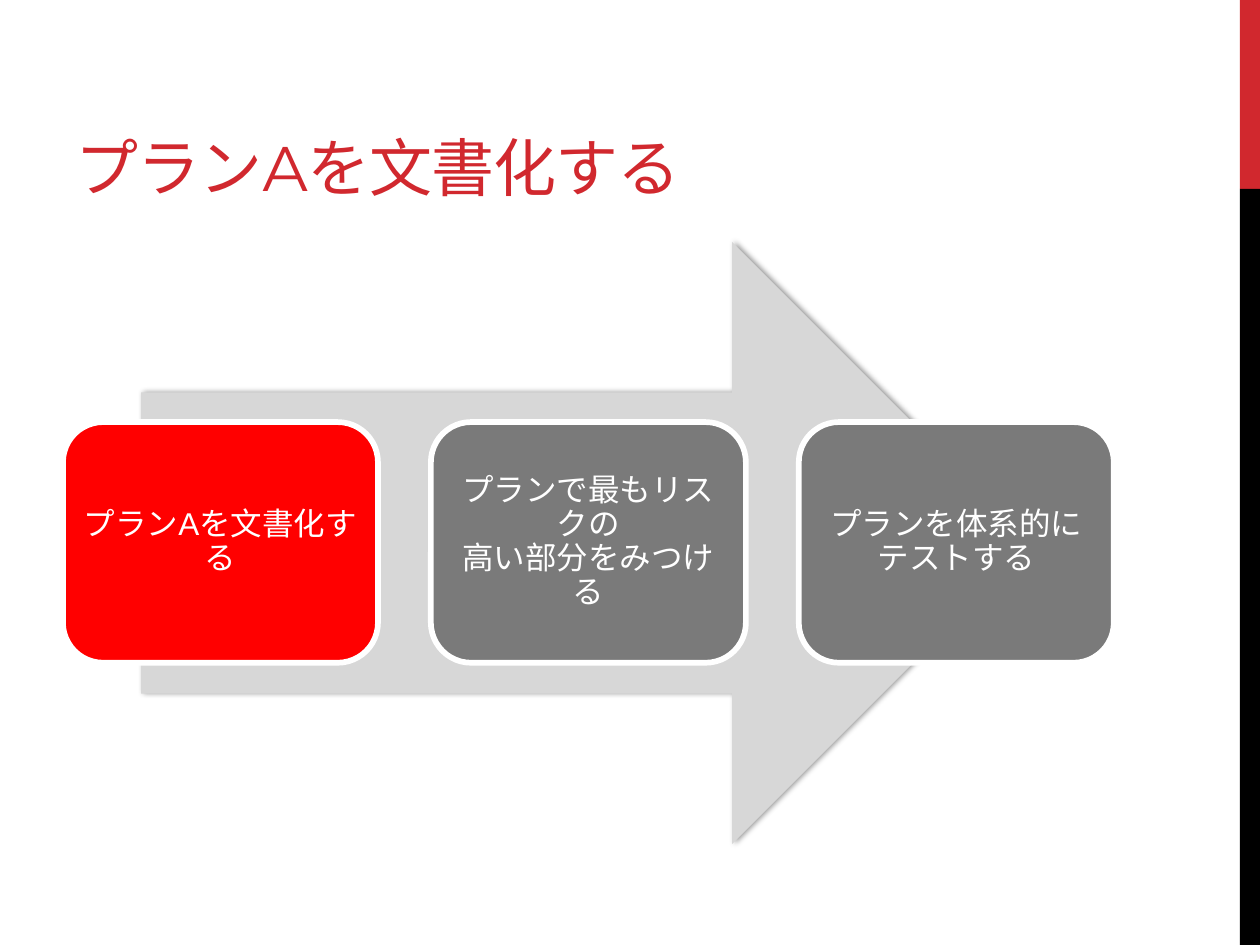
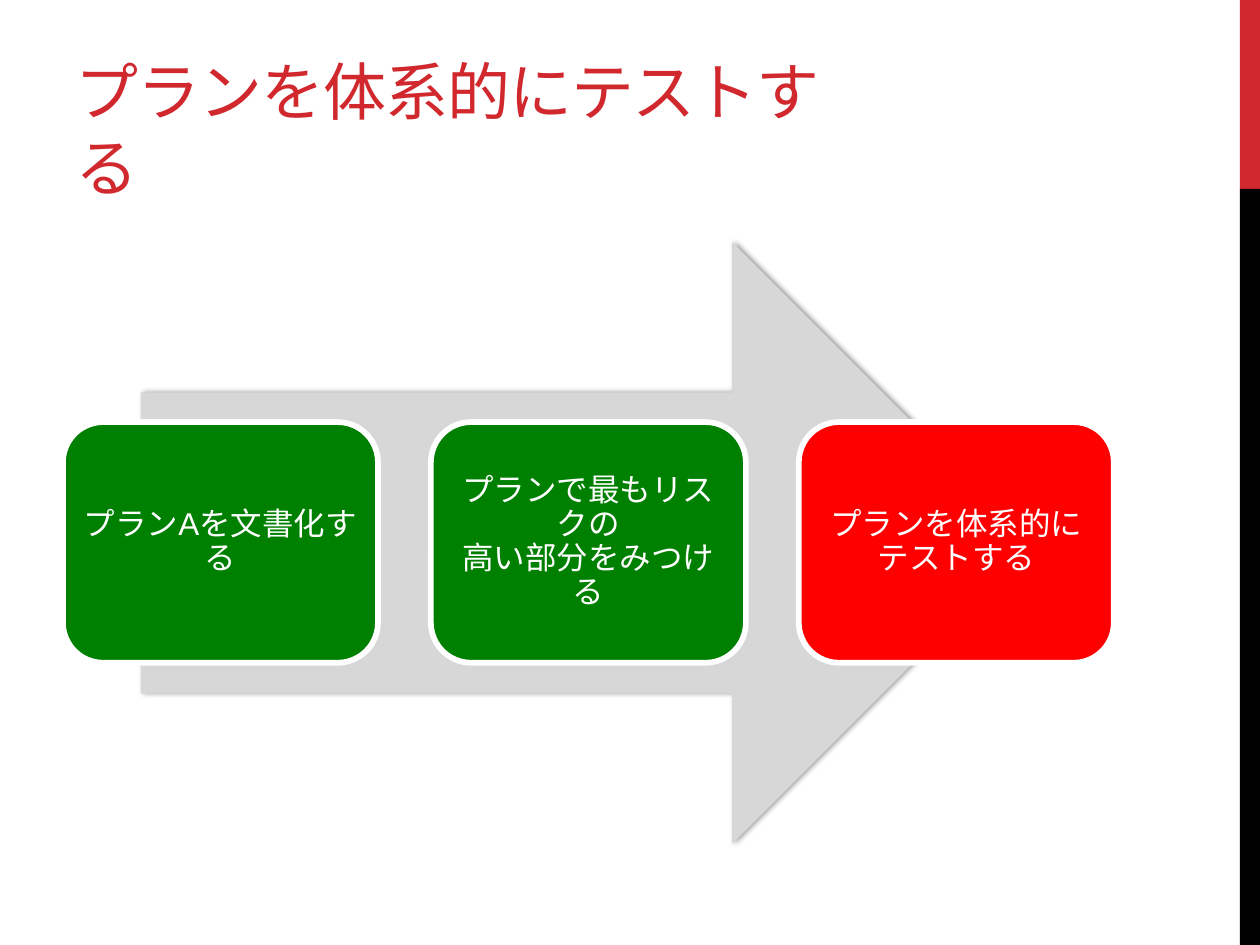
import pptx
import pptx.util
import pptx.dml.color
import pptx.enum.shapes
import pptx.enum.text
import pptx.oxml
import pptx.oxml.ns

Inches, Pt = pptx.util.Inches, pptx.util.Pt
SHAPE = pptx.enum.shapes.MSO_SHAPE
ALIGN = pptx.enum.text.PP_ALIGN
ANCHOR = pptx.enum.text.MSO_ANCHOR

COLORS = {
    "accent": "D1282E",
    "black": "000000",
    "white": "FFFFFF",
    "arrow": "D7D7D7",
    "current": "FF0000",
    "done": "008000",
    "pending": "7A7A7A",
}
STEPS = ["プランAを文書化する", "プランで最もリスクの\n高い部分をみつける", "プランを体系的に\nテストする"]
SLIDES = [
    ("プランAを文書化する", ["current", "pending", "pending"]),
    ("プランを体系的にテストする", ["done", "done", "current"]),
]
BOX_W, BOX_H, BOX_GAP = 2.5, 1.91, 0.42
SHADOW = (
    f'<a:effectLst {pptx.oxml.ns.nsdecls("a")}>'
    f'<a:outerShdw blurRad="{Pt(3.1)}" dist="{Pt(1.8)}" dir="0" rotWithShape="0">'
    '<a:srgbClr val="000000"><a:alpha val="40000"/></a:srgbClr>'
    "</a:outerShdw></a:effectLst>"
)


def rgb(name):
    return pptx.dml.color.RGBColor.from_string(COLORS[name])


def add_filled(slide, kind, left, top, width, height, color):
    sp = slide.shapes.add_shape(kind, Inches(left), Inches(top), Inches(width), Inches(height))
    sp.shadow.inherit = False
    sp.fill.solid()
    sp.fill.fore_color.rgb = rgb(color)
    sp.line.fill.background()
    return sp


prs = pptx.Presentation()
prs.slide_width, prs.slide_height = Inches(10), Inches(7.5)
layout = prs.slide_layouts.get_by_name("Title Only")

for number, (title, states) in enumerate(SLIDES):
    s = prs.slides.add_slide(layout)

    # The side bands are drawn once and moved to the slide master
    if number == 0:
        for top, height, color in [(0, 1.5, "accent"), (1.5, 6, "black")]:
            band = add_filled(s, SHAPE.RECTANGLE, 9.84, top, 0.16, height, color)
            prs.slide_master.shapes.element.append(band.element)

    sp = s.shapes.title
    sp.left, sp.top, sp.width, sp.height = Inches(0.5), Inches(0.17), Inches(6.33), Inches(1.5)
    tf = sp.text_frame
    tf.auto_size = pptx.enum.text.MSO_AUTO_SIZE.NONE
    tf.word_wrap = True
    tf.vertical_anchor = ANCHOR.BOTTOM
    p = tf.paragraphs[0]
    p.text = title
    p.alignment = ALIGN.LEFT
    p.font.name, p.font.size = "Montserrat", Pt(36)
    p.font.color.rgb = rgb("accent")
    p._p.pPr.find(pptx.oxml.ns.qn("a:defRPr")).set("spc", "-60")

    arrow = add_filled(s, SHAPE.RIGHT_ARROW, 1.12, 1.92, 7.08, 4.78, "arrow")
    props = arrow.element.spPr
    props.replace(props.find(pptx.oxml.ns.qn("a:effectLst")), pptx.oxml.parse_xml(SHADOW))

    for i, (step, state) in enumerate(zip(STEPS, states)):
        left = 0.5 + i * (BOX_W + BOX_GAP)
        box = add_filled(s, SHAPE.ROUNDED_RECTANGLE, left, 3.35, BOX_W, BOX_H, state)
        box.line.color.rgb = rgb("white")
        box.line.width = Pt(3.25)
        tf = box.text_frame
        tf.word_wrap = True
        tf.vertical_anchor = ANCHOR.MIDDLE
        tf.margin_left = tf.margin_right = tf.margin_top = tf.margin_bottom = Inches(0.07)
        p = tf.paragraphs[0]
        p.text = step
        p.alignment = ALIGN.CENTER
        p.line_spacing = 0.9
        p.font.name, p.font.size = "Arial", Pt(18)
        p.font.color.rgb = rgb("white")

prs.save("out.pptx")
